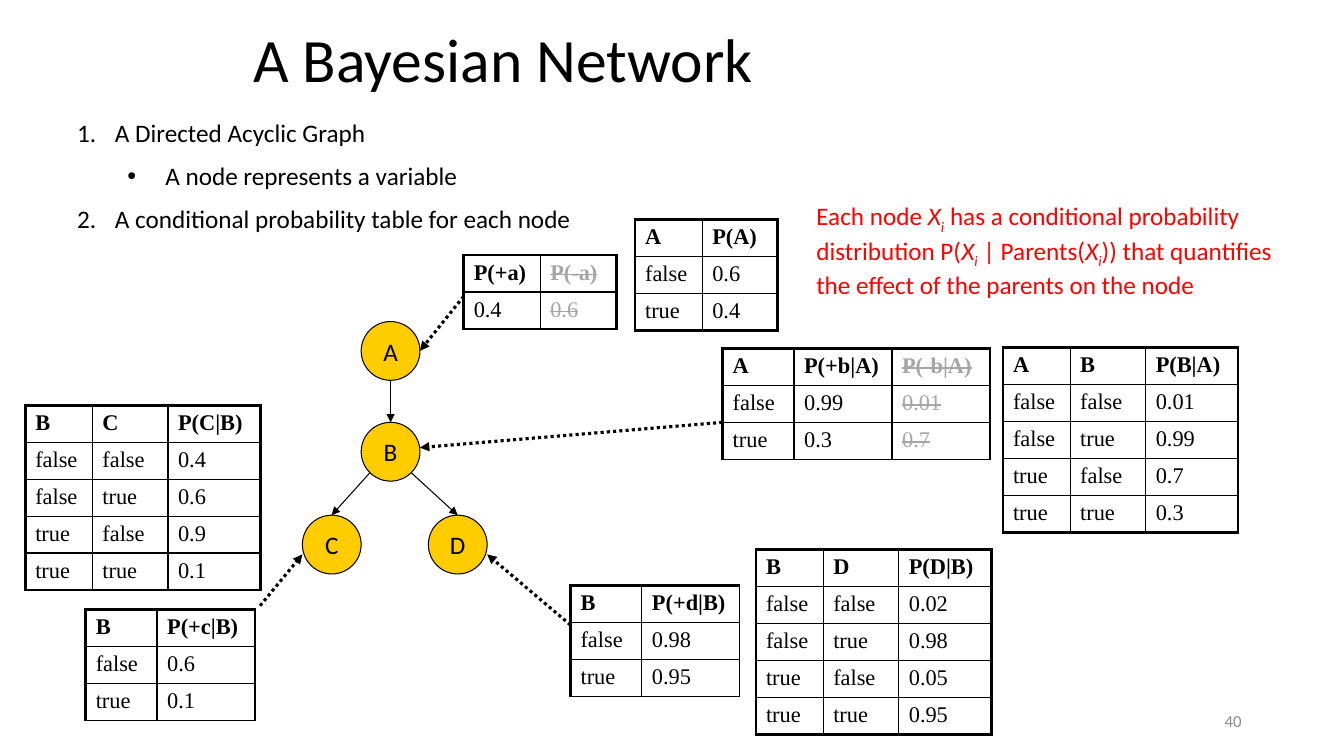
"""Build the slide on a Bayesian network and its probability tables."""
from dataclasses import dataclass

from lxml import etree
from pptx import Presentation, util as u
from pptx.dml.color import RGBColor
from pptx.enum import dml, shapes, text
from pptx.oxml import ns

Pt = u.Pt
BLACK = RGBColor(0, 0, 0)
RED = RGBColor(0xFF, 0, 0)
GOLD = RGBColor(0xFF, 0xCC, 0)
GREY = RGBColor(0xA6, 0xA6, 0xA6)
DIM = RGBColor(0x8C, 0x8C, 0x8C)
SANS, SERIF = "Calibri", "Times New Roman"
THICK, THIN = 2.25, 1
SIDE, ROW = 42, 26.4
FULL = (48, 54, 66)
PAIR = (51, 70)


@dataclass
class Node:
    name: str
    x: float
    y: float


@dataclass
class Arrow:
    x1: float
    y1: float
    x2: float
    y2: float
    dotted: bool = False


@dataclass
class Grid:
    x: float
    y: float
    cols: tuple
    rows: list
    right: float = THICK
    foot: float = THICK
    struck: bool = False


NODES = [Node("A", 258, 229.7), Node("B", 258, 301.7),
         Node("C", 216, 368), Node("D", 306, 368)]

ARROWS = [
    Arrow(279, 271.7, 279, 301.7),
    Arrow(264.2, 337.7, 236.9, 368),
    Arrow(293.8, 337.7, 326.9, 368),
    Arrow(516, 301.7, 300, 319.7, True),
    Arrow(331.2, 211.7, 300, 250.6, True),
    Arrow(407.5, 446.4, 348, 396, True),
    Arrow(185.8, 432.7, 216, 396, True),
]


def joint(top: str, low: str, vals: list) -> list:
    """Give the rows of a full table over a parent and its child."""
    keys = [(a, b) for a in ("false", "true") for b in ("false", "true")]
    body = [(*key, val) for key, val in zip(keys, vals)]
    return [(top, low, f"P({low}|{top})")] + body


GRIDS = [
    Grid(453.6, 157, (48, 54), [("A", "P(A)"), ("false", "0.6"), ("true", "0.4")]),
    Grid(716.4, 248.4, FULL, joint("A", "B", ["0.01", "0.99", "0.7", "0.3"])),
    Grid(18, 289.4, FULL, joint("B", "C", ["0.4", "0.6", "0.9", "0.1"])),
    Grid(540, 392.4, FULL, joint("B", "D", ["0.02", "0.98", "0.05", "0.95"])),
    Grid(516.2, 249.1, (51, 70, 70),
         [("A", "P(+b|A)", "P(-b|A)"), ("false", "0.99", "0.01"), ("true", "0.3", "0.7")],
         foot=THIN, struck=True),
    Grid(331.2, 182.2, (54.7, 54.7), [("P(+a)", "P(-a)"), ("0.4", "0.6")],
         foot=THIN, struck=True),
    Grid(407.5, 418.3, PAIR, [("B", "P(+d|B)"), ("false", "0.98"), ("true", "0.95")],
         right=THIN, foot=THIN),
    Grid(61.2, 435.6, PAIR, [("B", "P(+c|B)"), ("false", "0.6"), ("true", "0.1")],
         right=THIN, foot=THIN),
]

LIST = [("A Directed Acyclic Graph", 0), ("A node represents a variable", 1),
        ("A conditional probability table for each node", 0)]

VAR = [("X", "var"), ("i", "sub")]
RULE = [("Each node ", ""), *VAR, (" has a conditional probability distribution P(", ""),
        *VAR, (" | Parents(", ""), *VAR,
        (")) that quantifies the effect of the parents on the node", "")]


def sub(host, tag: str, **attrs: str):
    """Append a child element with the given attributes."""
    return etree.SubElement(host, ns.qn(tag), attrs)


def put(para, words: str, size: float, color: RGBColor = BLACK, face: str = SANS):
    """Add one styled run and return it."""
    run = para.add_run()
    run.text = words
    run.font.size, run.font.name = Pt(size), face
    run.font.color.rgb = color
    return run


def box(slide, x: float, y: float, w: float, h: float, mid: bool = False):
    """Add a wrapping text box and return its frame."""
    frame = slide.shapes.add_textbox(Pt(x), Pt(y), Pt(w), Pt(h)).text_frame
    frame.word_wrap = True
    if mid:
        frame.vertical_anchor = text.MSO_ANCHOR.MIDDLE
    return frame


def draw_list(slide) -> None:
    """Draw the numbered list with its bulleted line."""
    frame = box(slide, 48, 80.6, 415.4, 127.4)
    for i, (words, level) in enumerate(LIST):
        para = frame.add_paragraph() if i else frame.paragraphs[0]
        para.level = level
        if i:
            para.space_before = Pt(9)
        props = para._p.get_or_add_pPr()
        props.set("marL", str(Pt(27 + 36 * level)))
        props.set("indent", str(-Pt(27)))
        if level:
            sub(props, "a:buFont", typeface="Arial")
            sub(props, "a:buChar", char="•")
        else:
            sub(props, "a:buAutoNum", type="arabicPeriod")
        put(para, words, 18)


def draw_rule(slide) -> None:
    """Draw the red statement about each node."""
    para = box(slide, 576, 139.7, 351.4, 72.7).paragraphs[0]
    for words, kind in RULE:
        font = put(para, words, 18, RED).font
        font.italic = kind != ""
        if kind == "sub":
            font._element.set("baseline", "-25000")


def draw_node(slide, node: Node) -> None:
    """Draw one round node with its letter."""
    disc = slide.shapes.add_shape(shapes.MSO_SHAPE.OVAL, Pt(node.x), Pt(node.y),
                                  Pt(SIDE), Pt(SIDE))
    disc.shadow.inherit = False
    disc.fill.solid()
    disc.fill.fore_color.rgb = GOLD
    disc.line.color.rgb = BLACK
    disc.line.width = Pt(0.75)
    frame = disc.text_frame
    frame.word_wrap = False
    frame.vertical_anchor = text.MSO_ANCHOR.MIDDLE
    para = frame.paragraphs[0]
    para.alignment = text.PP_ALIGN.CENTER
    put(para, node.name, 18)


def draw_arrow(slide, arrow: Arrow) -> None:
    """Draw one straight arrow."""
    ends = (Pt(v) for v in (arrow.x1, arrow.y1, arrow.x2, arrow.y2))
    link = slide.shapes.add_connector(shapes.MSO_CONNECTOR.STRAIGHT, *ends)
    link.line.color.rgb = BLACK
    link.line.width = Pt(2.25 if arrow.dotted else 0.75)
    if arrow.dotted:
        link.line.dash_style = dml.MSO_LINE.ROUND_DOT
    sub(link.line._get_or_add_ln(), "a:tailEnd", type="triangle")
    sub(link._element.spPr, "a:effectLst")


def draw_grid(slide, grid: Grid) -> None:
    """Draw one table with its cell borders."""
    rows, cols = len(grid.rows), len(grid.cols)
    table = slide.shapes.add_table(rows, cols, Pt(grid.x), Pt(grid.y),
                                   Pt(sum(grid.cols)), Pt(ROW * rows)).table
    table.first_row = table.horz_banding = False
    for col, width in zip(table.columns, grid.cols):
        col.width = Pt(width)
    for r, line in enumerate(grid.rows):
        table.rows[r].height = Pt(ROW)
        for c, words in enumerate(line):
            cell = table.cell(r, c)
            last = c == cols - 1
            gone = grid.struck and last
            font = put(cell.text_frame.paragraphs[0], words, 16,
                       GREY if gone else BLACK, SERIF).font
            font.bold = r == 0
            if gone:
                font._element.set("strike", "sngStrike")
            edges = {"L": THIN if c else THICK, "R": grid.right if last else THIN,
                     "T": THIN if r else THICK, "B": grid.foot if r == rows - 1 else THIN}
            props = cell._tc.get_or_add_tcPr()
            for side, width in edges.items():
                edge = sub(props, f"a:ln{side}", w=str(Pt(width)))
                sub(sub(edge, "a:solidFill"), "a:srgbClr", val=str(BLACK))
            cell.fill.background()


def main() -> None:
    """Build and save the deck."""
    deck = Presentation()
    deck.slide_width, deck.slide_height = Pt(960), Pt(540)
    slide = deck.slides.add_slide(deck.slide_layouts[6])
    title = box(slide, 174, 12, 612, 66, True).paragraphs[0]
    title.line_spacing = 0.9
    put(title, "A Bayesian Network", 44)
    draw_rule(slide)
    draw_list(slide)
    for node in NODES:
        draw_node(slide, node)
    for arrow in ARROWS:
        draw_arrow(slide, arrow)
    for grid in GRIDS:
        draw_grid(slide, grid)
    page = box(slide, 678, 500.4, 216, 28.8, True).paragraphs[0]
    page.alignment = text.PP_ALIGN.RIGHT
    put(page, "40", 12, DIM)
    deck.save("out.pptx")


if __name__ == "__main__":
    main()
